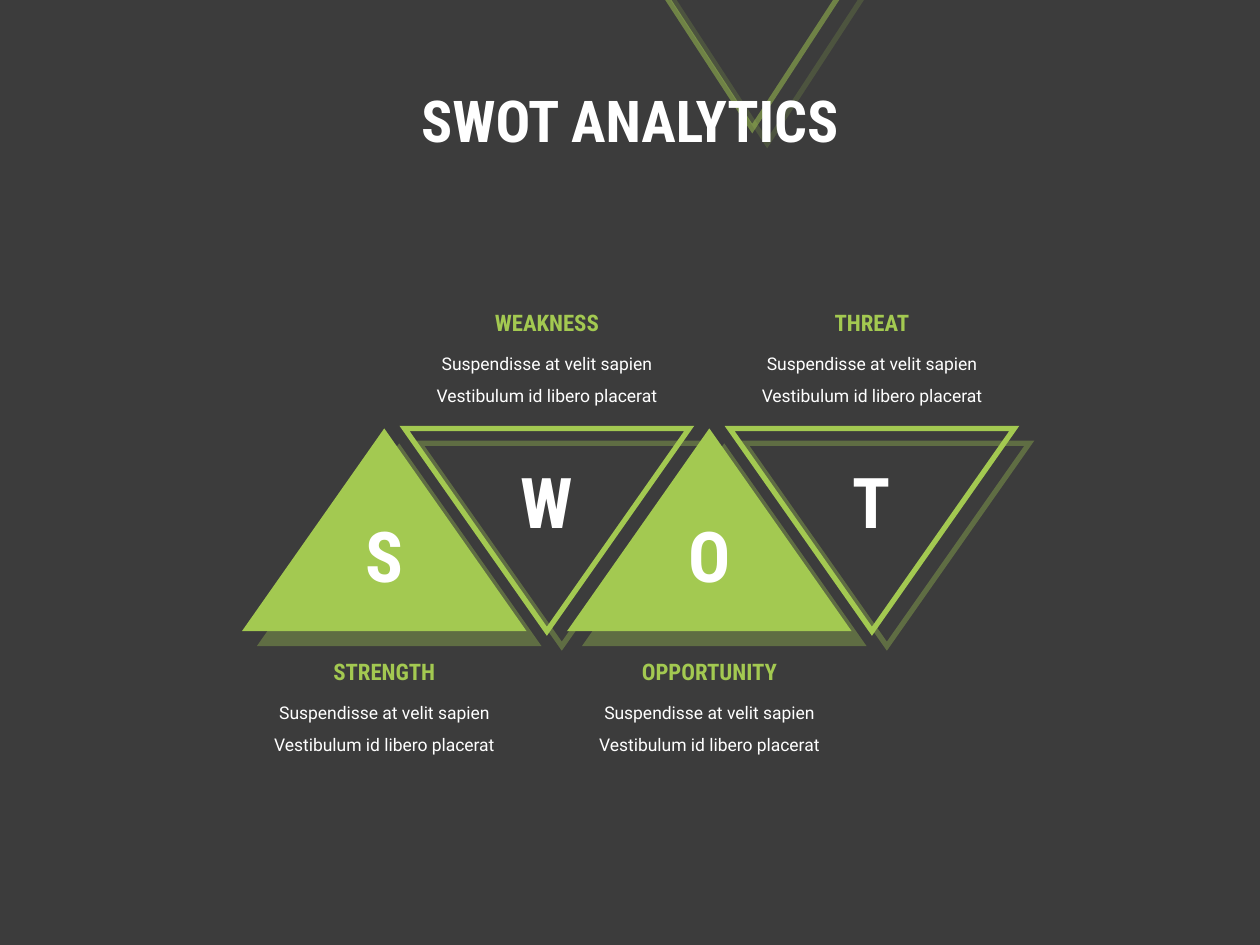
from dataclasses import dataclass

from lxml.etree import SubElement
from pptx import Presentation
from pptx.dml.color import RGBColor
from pptx.enum.shapes import MSO_SHAPE
from pptx.enum.text import MSO_ANCHOR, MSO_AUTO_SIZE, PP_ALIGN
from pptx.oxml.ns import qn
from pptx.util import Pt

BACKGROUND = RGBColor(0x3C, 0x3C, 0x3C)
GREEN = RGBColor(0xA3, 0xC9, 0x51)
WHITE = RGBColor(0xFF, 0xFF, 0xFF)

CONDENSED = "Roboto Condensed"
REGULAR = "Roboto"

# Grid of the four triangles, in points
FIRST_CENTER = 219.6
STEP = 92.88
TRIANGLE_WIDTH, TRIANGLE_HEIGHT = 162.72, 115.92
TRIANGLE_TOP = 244.8
BODY_OFFSET = 19.44
BODY_TEXT = "Suspendisse at velit sapien Vestibulum id libero placerat"


@dataclass(frozen=True)
class Box:
    left: float
    top: float
    width: float
    height: float


@dataclass(frozen=True)
class TextStyle:
    font: str
    size: float
    color: RGBColor
    bold: bool = True
    line_spacing: float = 1.0


@dataclass(frozen=True)
class Topic:
    letter: str
    heading: str
    inverted: bool
    letter_top: float
    heading_top: float


TITLE = TextStyle(CONDENSED, 33, WHITE, line_spacing=0.9)
LETTER = TextStyle(CONDENSED, 40, WHITE)
HEADING = TextStyle(CONDENSED, 13, GREEN)
BODY = TextStyle(REGULAR, 10, WHITE, bold=False, line_spacing=1.5)

TOPICS = [
    Topic("S", "STRENGTH", False, 289.44, 372.24),
    Topic("W", "WEAKNESS", True, 258.48, 172.8),
    Topic("O", "OPPORTUNITY", False, 289.44, 372.24),
    Topic("T", "THREAT", True, 258.48, 172.8),
]


def centered(center: float, top: float, width: float, height: float) -> Box:
    return Box(center - width / 2, top, width, height)


def add_alpha(color_element, percent: int) -> None:
    SubElement(color_element, qn("a:alpha"), val=str(percent * 1000))


def add_shadow(shape) -> None:
    shape.shadow.inherit = False
    effects = shape._element.spPr.find(qn("a:effectLst"))
    shadow = SubElement(
        effects, qn("a:outerShdw"), blurRad="0", dist=str(int(Pt(12.1))),
        dir=str(45 * 60000), algn="tl", rotWithShape="0",
    )
    add_alpha(SubElement(shadow, qn("a:srgbClr"), val=str(GREEN)), 35)


def add_triangle(slide, box: Box, inverted: bool, opacity: int = 100) -> None:
    """Upright triangles are filled, inverted ones are outlined."""
    triangle = slide.shapes.add_shape(
        MSO_SHAPE.ISOSCELES_TRIANGLE,
        Pt(box.left), Pt(box.top), Pt(box.width), Pt(box.height),
    )
    if inverted:
        triangle.rotation = 180
        triangle.fill.background()
        triangle.line.color.rgb = GREEN
        triangle.line.width = Pt(3)
        outline = triangle._element.spPr.find(qn("a:ln"))
        SubElement(outline, qn("a:miter"), lim="800000")
        if opacity < 100:
            add_alpha(outline.find(".//" + qn("a:srgbClr")), opacity)
    else:
        triangle.fill.solid()
        triangle.fill.fore_color.rgb = GREEN
        triangle.line.fill.background()
    add_shadow(triangle)


def add_text(slide, box: Box, text: str, style: TextStyle,
             anchor: MSO_ANCHOR = MSO_ANCHOR.TOP, grow: bool = True) -> None:
    frame = slide.shapes.add_textbox(
        Pt(box.left), Pt(box.top), Pt(box.width), Pt(box.height)
    ).text_frame
    frame.word_wrap = True
    frame.vertical_anchor = anchor
    frame.auto_size = MSO_AUTO_SIZE.SHAPE_TO_FIT_TEXT if grow else MSO_AUTO_SIZE.NONE
    paragraph = frame.paragraphs[0]
    paragraph.alignment = PP_ALIGN.CENTER
    paragraph.line_spacing = style.line_spacing
    run = paragraph.add_run()
    run.text = text
    run.font.name = style.font
    run.font.size = Pt(style.size)
    run.font.bold = style.bold
    run.font.color.rgb = style.color


def main() -> None:
    deck = Presentation()
    deck.slide_width, deck.slide_height = Pt(720), Pt(540)
    slide = deck.slides.add_slide(deck.slide_layouts[6])
    slide.background.fill.solid()
    slide.background.fill.fore_color.rgb = BACKGROUND

    # Title with the faded triangle behind it
    add_triangle(slide, Box(374.4, -11.5, 110.9, 85), inverted=True, opacity=50)
    add_text(slide, Box(176.4, 35.3, 367.2, 70.6), "SWOT ANALYTICS", TITLE,
             MSO_ANCHOR.MIDDLE, grow=False)

    columns = [(FIRST_CENTER + i * STEP, topic) for i, topic in enumerate(TOPICS)]

    # Row of triangles
    for center, topic in columns:
        add_triangle(
            slide,
            centered(center, TRIANGLE_TOP, TRIANGLE_WIDTH, TRIANGLE_HEIGHT),
            topic.inverted,
        )

    # Letters
    for center, topic in columns:
        add_text(slide, centered(center, topic.letter_top, 54.72, 55.44),
                 topic.letter, LETTER)

    # Headings and descriptions
    for center, topic in columns:
        add_text(slide, centered(center, topic.heading_top + BODY_OFFSET, 160.56, 43.2),
                 BODY_TEXT, BODY)
        add_text(slide, centered(center, topic.heading_top, 132.48, 23.04),
                 topic.heading, HEADING)

    deck.save("out.pptx")


if __name__ == "__main__":
    main()
